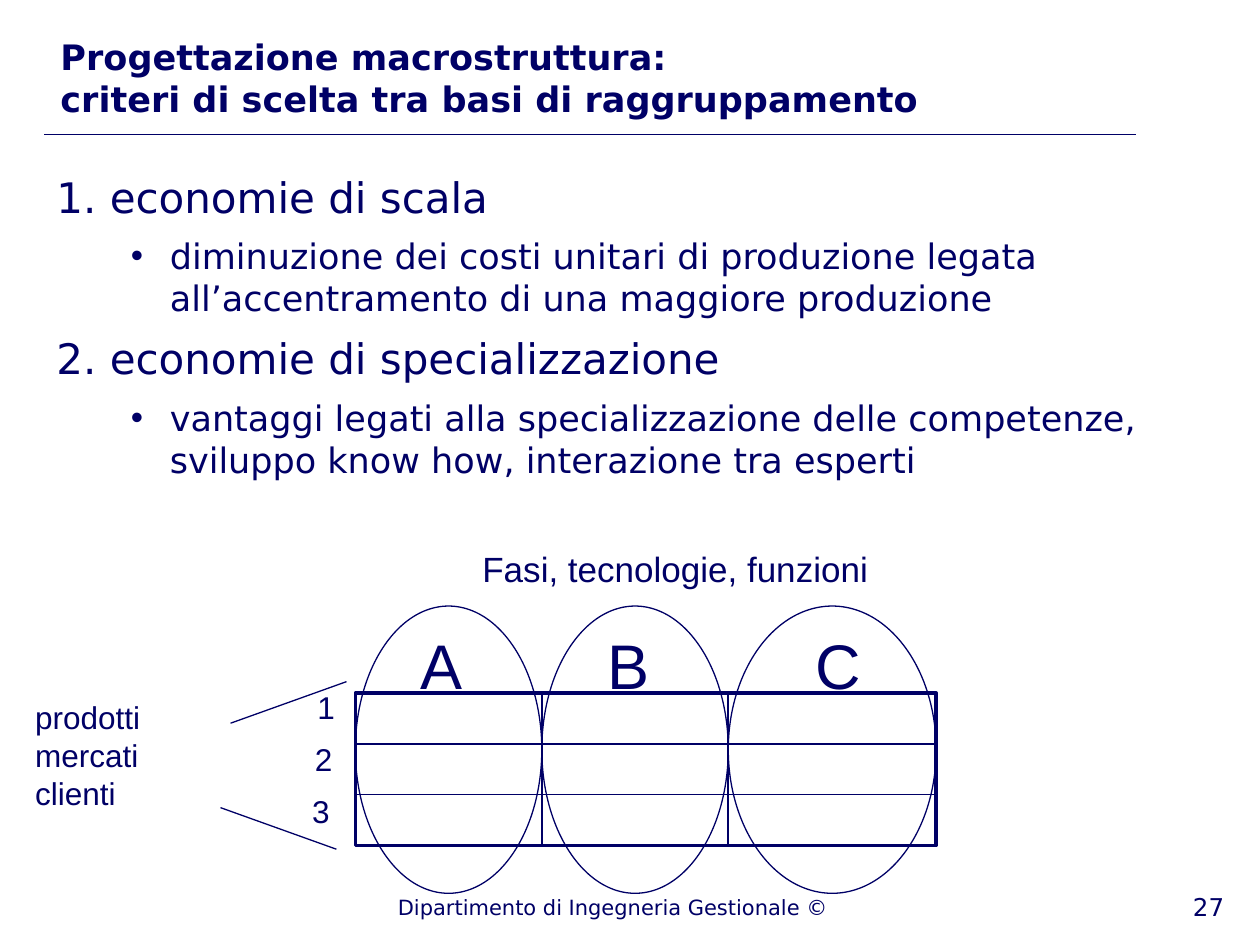
from lxml import etree
from pptx import Presentation
from pptx.dml.color import RGBColor
from pptx.enum import shapes, text
from pptx.oxml import ns
from pptx.util import Inches, Pt

NAVY = RGBColor(0x00, 0x00, 0x66)
SANS, ARIAL = "DejaVu Sans", "Arial"
LEFT, ALIGN_CENTER = text.PP_ALIGN.LEFT, text.PP_ALIGN.CENTER


def format_paragraph(p, font, size, align=LEFT, bold=False):
    p.alignment = align
    for r in p.runs:
        r.font.name = font
        r.font.size = Pt(size)
        r.font.bold = bold
        r.font.color.rgb = NAVY


def add_text(s, box, content, font, size, inset=None, wrap=True, align=LEFT):
    tf = s.shapes.add_textbox(*map(Inches, box)).text_frame
    tf.word_wrap = wrap
    if inset is not None:
        tf.margin_left = tf.margin_right = Inches(inset)
        tf.margin_top = tf.margin_bottom = Inches(inset)
    if not wrap:
        tf.auto_size = text.MSO_AUTO_SIZE.SHAPE_TO_FIT_TEXT
    tf.text = content
    for p in tf.paragraphs:
        format_paragraph(p, font, size, align)
    return tf


def add_line(s, x1, y1, x2, y2, width=0.75):
    line = s.shapes.add_connector(
        shapes.MSO_CONNECTOR.STRAIGHT, *map(Inches, (x1, y1, x2, y2)))
    line.line.color.rgb = NAVY
    line.line.width = Pt(width)
    etree.SubElement(line._element.spPr, ns.qn("a:effectLst"))


def add_outline(s, kind, box, width):
    sp = s.shapes.add_shape(kind, *map(Inches, box))
    sp.shadow.inherit = False
    sp.fill.background()
    sp.line.color.rgb = NAVY
    sp.line.width = Pt(width)


def set_indent(p, margin, hanging, bullet=None):
    pPr = p._p.get_or_add_pPr()
    pPr.set("marL", str(Inches(margin)))
    pPr.set("indent", str(-Inches(hanging)))
    if bullet:
        etree.SubElement(pPr, ns.qn("a:buFont")).set("typeface", ARIAL)
        etree.SubElement(pPr, ns.qn("a:buChar")).set("char", bullet)


def add_title(s):
    sp = s.shapes.title
    sp.left, sp.top, sp.width, sp.height = map(Inches, (0.38, 0.28, 8.4, 0.68))
    tf = sp.text_frame
    tf.text = ("Progettazione macrostruttura: \v"
               "criteri di scelta tra basi di raggruppamento")
    tf.auto_size = text.MSO_AUTO_SIZE.NONE
    tf.vertical_anchor = text.MSO_ANCHOR.BOTTOM
    tf.margin_left = tf.margin_right = Inches(0.1)
    tf.margin_top = tf.margin_bottom = Inches(0.01)
    format_paragraph(tf.paragraphs[0], SANS, 20, bold=True)
    add_line(s, 0.35, 1.07, 9.02, 1.07)


def add_criteria(s):
    items = [
        (0, "1. economie di scala"),
        (1, "diminuzione dei costi unitari di produzione legata "
            "all’accentramento di una maggiore produzione"),
        (0, "2. economie di specializzazione"),
        (1, "vantaggi legati alla specializzazione delle competenze, "
            "sviluppo know how, interazione tra esperti"),
    ]
    tf = add_text(s, (0.35, 1.31, 9.06, 5.58),
                  "\n".join(item for _, item in items), SANS, 24)
    for p, (level, _) in zip(tf.paragraphs, items):
        size = 20 if level else 24
        p.level = level
        format_paragraph(p, SANS, size)
        p.space_before, p.space_after = Pt(size * 0.23), Pt(size * 0.12)
        if level:
            set_indent(p, 0.9, 0.31, "•")
        else:
            set_indent(p, 0.38, 0.38)


def add_matrix(s):
    edges = [2.82, 4.3, 5.78, 7.43]
    left, right = edges[0], edges[-1]
    top, height = 5.5, 1.21

    # Grid
    add_outline(s, shapes.MSO_SHAPE.RECTANGLE,
                (left, top, right - left, height), 2)
    for i in (1, 2):
        y = top + i * height / 3
        add_line(s, left, y, right, y, 1)
        add_line(s, edges[i], top, edges[i], top + height, 1)

    # Columns: letter and ellipse
    for letter, x, x1, x2 in zip("ABC", (3.31, 4.79, 6.44), edges, edges[1:]):
        add_text(s, (x, 4.94, 0.49, 0.54), letter, ARIAL, 36, inset=0.03)
        add_outline(s, shapes.MSO_SHAPE.OVAL, (x1, 4.81, x2 - x1, 2.28), 0.75)

    # Row numbers
    for i in range(3):
        add_text(s, (2.42 - 0.02 * i, 5.41 + 0.415 * i, 0.34, 0.4),
                 str(i + 1), ARIAL, 18, wrap=False)

    # Axis captions
    add_text(s, (3.73, 4.3, 3.29, 0.44), "Fasi, tecnologie, funzioni",
             ARIAL, 20, wrap=False)
    add_text(s, (0.25, 5.51, 2.07, 1.24), "prodotti\nmercati\nclienti",
             ARIAL, 18, inset=0.03)
    add_line(s, 1.83, 5.74, 2.75, 5.41)
    add_line(s, 1.75, 6.41, 2.67, 6.74)


def add_footer(s):
    add_text(s, (9.37, 7.03, 0.63, 0.47), "27", SANS, 14)
    add_text(s, (1.3, 7.05, 7.13, 0.45),
             "Dipartimento di Ingegneria Gestionale ©", SANS, 12,
             align=ALIGN_CENTER)


def main():
    prs = Presentation()
    prs.slide_width, prs.slide_height = Inches(10), Inches(7.5)
    s = prs.slides.add_slide(prs.slide_layouts[5])
    add_title(s)
    add_criteria(s)
    add_matrix(s)
    add_footer(s)
    prs.save("out.pptx")


main()
